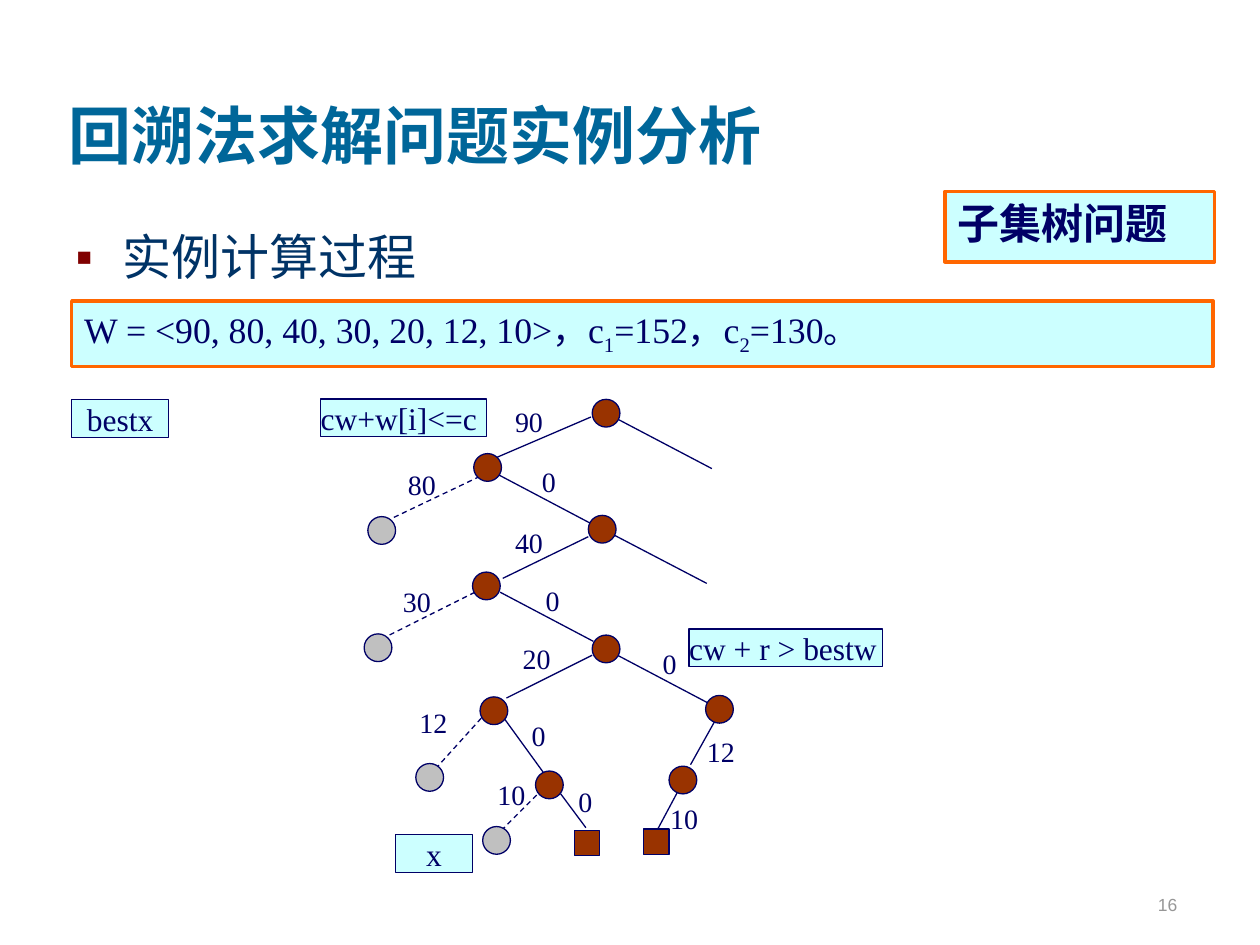
from lxml import etree
from pptx import Presentation
from pptx.dml.color import RGBColor
from pptx.enum.dml import MSO_LINE
from pptx.enum.shapes import MSO_CONNECTOR, MSO_SHAPE
from pptx.enum.text import MSO_ANCHOR, MSO_AUTO_SIZE, PP_ALIGN
from pptx.oxml.ns import qn
from pptx.util import Pt

OVAL, RECT = MSO_SHAPE.OVAL, MSO_SHAPE.RECTANGLE
STRAIGHT, DASH = MSO_CONNECTOR.STRAIGHT, MSO_LINE.DASH
TOP, BOTTOM = MSO_ANCHOR.TOP, MSO_ANCHOR.BOTTOM
LEFT, CENTER, RIGHT = PP_ALIGN.LEFT, PP_ALIGN.CENTER, PP_ALIGN.RIGHT
NO_FIT = MSO_AUTO_SIZE.NONE

SERIF, HEADING = "Times New Roman", "Cambria"
NAVY, BROWN, GREY, CYAN, ORANGE = "000066", "993300", "C0C0C0", "CCFFFF", "FF6600"
NODE, LEAF = 15.84, 14.4  # diameter of a node, side of a solution leaf

# Left and top of each tree node
VISITED = [(338.4, 228.2), (270.7, 259.2), (336.2, 294.5), (270, 326.9), (338.4, 362.9),
           (274.3, 398.2), (306, 440.6), (403.2, 397.4), (382.3, 437.8)]
PRUNED = [(210.2, 295.2), (208.1, 362.2), (237.6, 436.3), (275.8, 472.3)]
SOLUTIONS = [(328.3, 474.5), (367.9, 473.8)]

# Start, end, weight, place of the weight, its alignment
BRANCHES = [
    ((337.7, 238.3), (282.2, 262.1), "90", (280.1, 231.1), RIGHT),
    ((283.7, 270.7), (337, 298.8), "0", (309.6, 265.7), LEFT),
    ((336.2, 306.7), (287.3, 330.5), "40", (280.1, 300.2), RIGHT),
    ((285.8, 338.4), (339.1, 366.5), "0", (311.8, 333.4), LEFT),
    ((338.4, 374.4), (289.4, 398.9), "20", (284.4, 366.5), RIGHT),
    ((288, 410.4), (311, 442.1), "0", (303.8, 410.4), LEFT),
    ((320.4, 453.6), (334.8, 473), "0", (330.5, 448.6), LEFT),
    ((352.8, 374.4), (406.1, 402.5), "0", (378.7, 369.4), LEFT),
    ((408.2, 412.6), (394.6, 437), "12", (403.9, 419.8), LEFT),
    ((387.4, 452.2), (375.1, 475.2), "10", (383, 457.9), LEFT),
]
PRUNED_BRANCHES = [
    ((274.3, 272.2), (224.6, 295.9), "80", (218.9, 267.1), RIGHT),
    ((271.4, 338.4), (222.5, 362.9), "30", (216, 334.1), RIGHT),
    ((275, 410.4), (247, 441.4), "12", (225.4, 403.2), RIGHT),
    ((306.7, 454.3), (283.7, 477.4), "10", (270, 444.2), RIGHT),
]
OPEN_BRANCHES = [((353.5, 239.8), (406.8, 267.8)), ((351.4, 306), (403.9, 333.4))]


def rgb(value):
    return RGBColor.from_string(value)


def write(shape, text, size, font=SERIF, color=NAVY, bold=False, align=LEFT,
          anchor=TOP, inset=(7.2, 3.6), wrap=True):
    """Put one paragraph into a shape; parts after "_" are one subscript letter."""
    frame = shape.text_frame
    frame.auto_size, frame.word_wrap, frame.vertical_anchor = NO_FIT, wrap, anchor
    frame.margin_left = frame.margin_right = Pt(inset[0])
    frame.margin_top = frame.margin_bottom = Pt(inset[1])
    paragraph = frame.paragraphs[0]
    paragraph.alignment = align
    paragraph.font.size, paragraph.font.name = Pt(size), font
    paragraph.font.bold, paragraph.font.color.rgb = bold, rgb(color)
    first, *rest = text.split("_")
    paragraph.add_run().text = first
    for part in rest:
        subscript = paragraph.add_run()
        subscript.text = part[0]
        subscript.font._element.set("baseline", "-25000")
        paragraph.add_run().text = part[1:]
    return paragraph


def place(shape, left, top, width, height):
    shape.left, shape.top, shape.width, shape.height = map(Pt, (left, top, width, height))


def add_block(slide, kind, box, fill, line=NAVY, weight=0.75):
    block = slide.shapes.add_shape(kind, *map(Pt, box))
    block.shadow.inherit = False
    block.fill.solid()
    block.fill.fore_color.rgb = rgb(fill)
    block.line.color.rgb = rgb(line)
    block.line.width = Pt(weight)
    return block


def add_branch(slide, start, end, dashed=False):
    branch = slide.shapes.add_connector(STRAIGHT, *map(Pt, start + end))
    branch.line.color.rgb = rgb(NAVY)
    branch.line.width = Pt(0.75)
    if dashed:
        branch.line.dash_style = DASH
    etree.SubElement(branch._element.spPr, qn("a:effectLst"))


def add_weight(slide, text, corner, align):
    label = slide.shapes.add_textbox(*map(Pt, corner + (30.2, 19.4)))
    write(label, text, 16, align=align, inset=(0, 0))


def set_bullet(paragraph, char, color):
    properties = paragraph._p.get_or_add_pPr()
    properties.set("marL", str(Pt(27)))
    properties.set("indent", str(Pt(-27)))
    # Bullet parts stand before the default run properties
    defaults = properties.find(qn("a:defRPr"))
    bullet_color = etree.Element(qn("a:buClr"))
    etree.SubElement(bullet_color, qn("a:srgbClr"), val=color)
    defaults.addprevious(bullet_color)
    defaults.addprevious(etree.Element(qn("a:buChar"), char=char))


def add_headings(slide):
    title, body = slide.placeholders
    place(title, 31.7, 12.2, 612, 90)
    write(title, "回溯法求解问题实例分析", 36, HEADING, "006699", bold=True, anchor=BOTTOM)
    place(body, 36, 126, 643.7, 351.4)
    topic = write(body, "实例计算过程", 28, HEADING, "003366")
    topic.space_before = Pt(7)
    set_bullet(topic, "▪", "800000")
    page_number = slide.shapes.add_textbox(*map(Pt, (530, 490.3, 149.8, 36)))
    write(page_number, "16", 10, "Arial", "969696", align=RIGHT, anchor=BOTTOM)


def add_tree(slide):
    for branches, dashed in ((BRANCHES, False), (PRUNED_BRANCHES, True)):
        for start, end, weight, corner, align in branches:
            add_branch(slide, start, end, dashed)
            add_weight(slide, weight, corner, align)
    for start, end in OPEN_BRANCHES:
        add_branch(slide, start, end)
    for corners, kind, size, fill in ((VISITED, OVAL, NODE, BROWN),
                                      (PRUNED, OVAL, NODE, GREY),
                                      (SOLUTIONS, RECT, LEAF, BROWN)):
        for corner in corners:
            add_block(slide, kind, corner + (size, size), fill)


def main():
    prs = Presentation()
    prs.slide_width, prs.slide_height = Pt(720), Pt(540)
    slide = prs.slides.add_slide(prs.slide_layouts[1])
    add_headings(slide)

    # Problem data and problem type
    weights = add_block(slide, RECT, (41, 172.1, 652.3, 37.4), CYAN, ORANGE, 2)
    write(weights, "W = <90, 80, 40, 30, 20, 12, 10>，c_1=152，c_2=130。", 20.4)
    problem = add_block(slide, RECT, (540, 109.4, 154.1, 40.3), CYAN, ORANGE, 2)
    write(problem, "子集树问题", 24, bold=True)

    add_tree(slide)

    # Bounding conditions and solution vectors
    for text, left, top, width, align in (("cw+w[i]<=c", 183.2, 228, 95, LEFT),
                                          ("cw + r > bestw", 393.8, 359.5, 110.4, LEFT),
                                          ("x", 226, 477, 43.9, CENTER),
                                          ("bestx", 41, 228.4, 55.4, CENTER)):
        note = add_block(slide, RECT, (left, top, width, 21.6), CYAN)
        write(note, text, 18, align=align, inset=(0, 0), wrap=False)

    prs.save("out.pptx")


if __name__ == "__main__":
    main()
